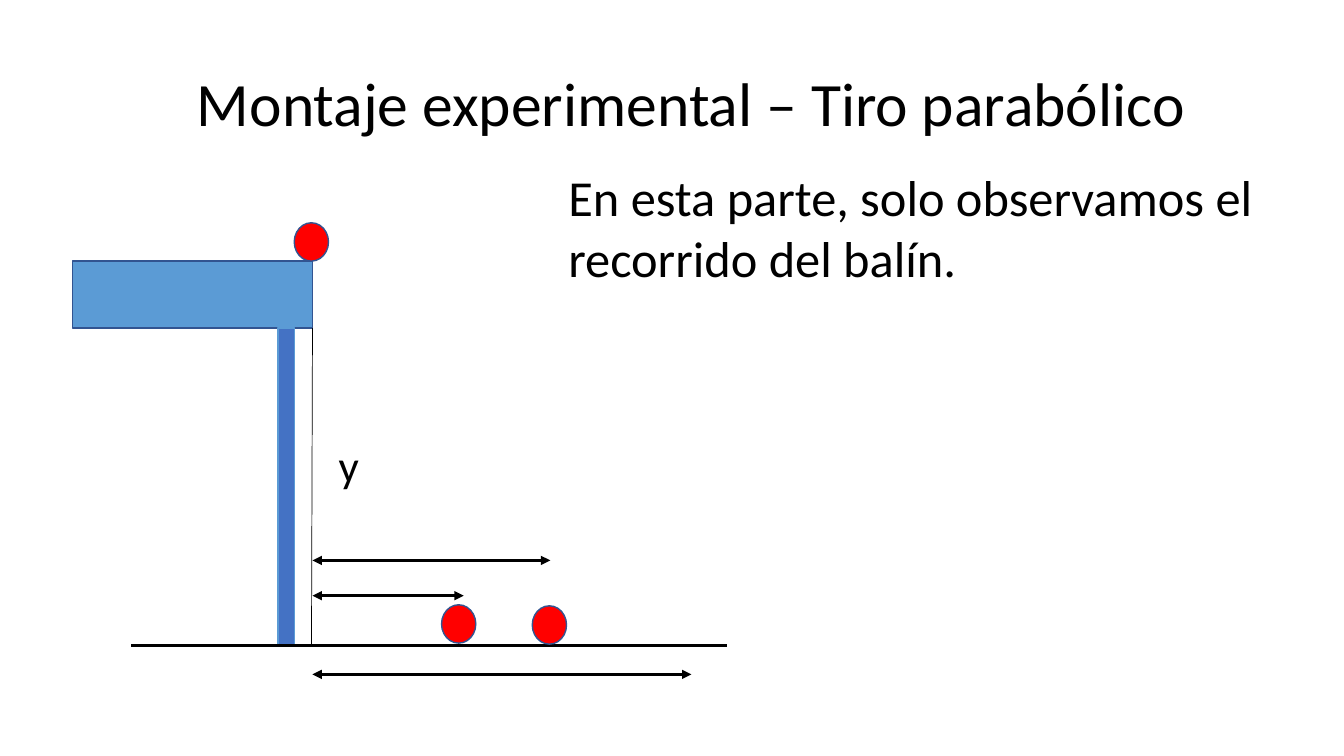
from dataclasses import dataclass

from lxml import etree
from pptx import Presentation
from pptx.dml.color import RGBColor
from pptx.enum import shapes, text
from pptx.oxml import ns
from pptx.util import Pt


@dataclass(frozen=True)
class Theme:
    font: str = "Calibri"
    ink: str = "000000"
    ball: str = "FF0000"
    outline: str = "325491"
    table: str = "5B9BD5"
    leg: str = "4472C4"
    title: int = 44
    body: int = 36
    label: int = 32
    thin: float = 0.5
    edge: float = 1
    thick: float = 2.25


THEME = Theme()
BALL_SIZE = (24.5, 27.4)
EDGE_X = 223.2
TABLE_BOTTOM = 234.4
FLOOR_Y = 460.8


def rgb(value):
    return RGBColor.from_string(value)


def add_text(s, box, content, size, anchor=text.MSO_ANCHOR.TOP,
             align=text.PP_ALIGN.LEFT, spacing=1.0, wrap=True):
    sp = s.shapes.add_textbox(*map(Pt, box))
    tf = sp.text_frame
    tf.word_wrap = wrap
    tf.vertical_anchor = anchor
    p = tf.paragraphs[0]
    p.alignment = align
    p.line_spacing = spacing
    r = p.add_run()
    r.text = content
    r.font.name = THEME.font
    r.font.size = Pt(size)
    r.font.color.rgb = rgb(THEME.ink)


def add_solid(s, kind, box, fill, outline):
    sp = s.shapes.add_shape(kind, *map(Pt, box))
    sp.shadow.inherit = False
    sp.fill.solid()
    sp.fill.fore_color.rgb = rgb(fill)
    sp.line.color.rgb = rgb(outline)
    sp.line.width = Pt(THEME.edge)


def add_ball(s, left, top):
    add_solid(s, shapes.MSO_SHAPE.OVAL, (left, top, *BALL_SIZE),
              THEME.ball, THEME.outline)


def add_line(s, start, end, width, arrows=False):
    line = s.shapes.add_connector(shapes.MSO_CONNECTOR.STRAIGHT,
                                  *map(Pt, (*start, *end)))
    line.line.color.rgb = rgb(THEME.ink)
    line.line.width = Pt(width)
    if arrows:
        ln = line.line._get_or_add_ln()
        for tag in ("a:headEnd", "a:tailEnd"):
            etree.SubElement(ln, ns.qn(tag), type="triangle")
    etree.SubElement(line._element.spPr, ns.qn("a:effectLst"))


def add_distance(s, end_x, y):
    add_line(s, (EDGE_X, y), (end_x, y), THEME.thick, arrows=True)


def main():
    prs = Presentation()
    prs.slide_width, prs.slide_height = Pt(960), Pt(540)
    s = prs.slides.add_slide(prs.slide_layouts[6])
    rect = shapes.MSO_SHAPE.RECTANGLE

    add_text(s, (93.6, 23.8, 800.6, 104.4),
             "Montaje experimental – Tiro parabólico", THEME.title,
             text.MSO_ANCHOR.MIDDLE, text.PP_ALIGN.CENTER, 0.9)
    add_text(s, (398.9, 115.2, 509, 94.3),
             "En esta parte, solo observamos el recorrido del balín.",
             THEME.body)

    add_solid(s, rect, (51.8, 186.5, EDGE_X - 51.8, TABLE_BOTTOM - 186.5),
              THEME.table, THEME.outline)
    add_solid(s, rect, (198.7, TABLE_BOTTOM, 11.5, FLOOR_Y - TABLE_BOTTOM),
              THEME.leg, THEME.table)
    add_line(s, (93.6, FLOOR_Y), (519.1, FLOOR_Y), THEME.thick)
    add_line(s, (EDGE_X, TABLE_BOTTOM), (222.5, FLOOR_Y), THEME.thin)
    add_text(s, (234.7, 308.9, 29.5, 46.1), "y", THEME.label, wrap=False)

    for left, top in ((210.2, 159.1), (380.2, 432.7), (315.4, 432)):
        add_ball(s, left, top)
    for end_x, y in ((493.9, 481.7), (393.1, 400.3), (331.2, 425.5)):
        add_distance(s, end_x, y)

    prs.save("out.pptx")


if __name__ == "__main__":
    main()
